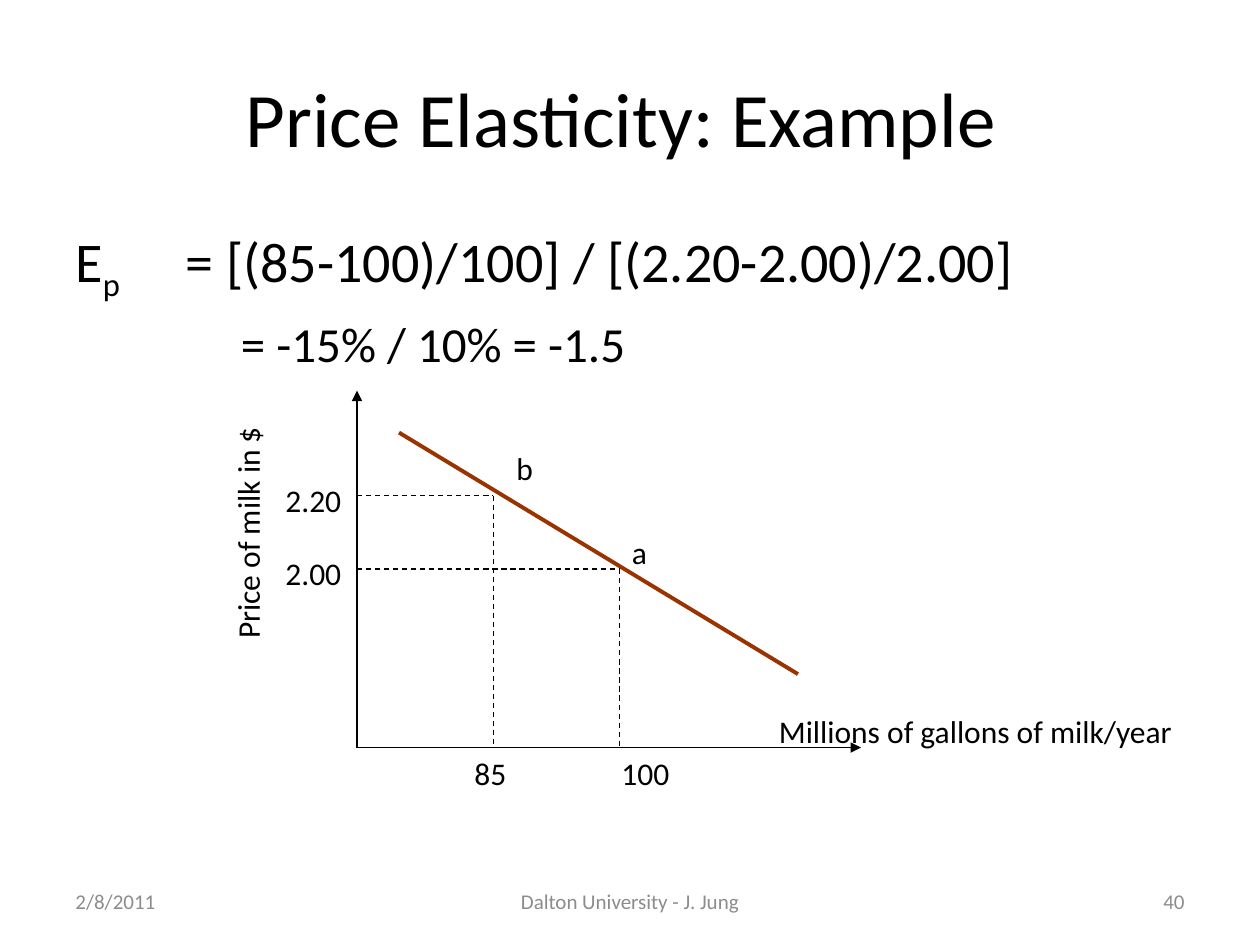
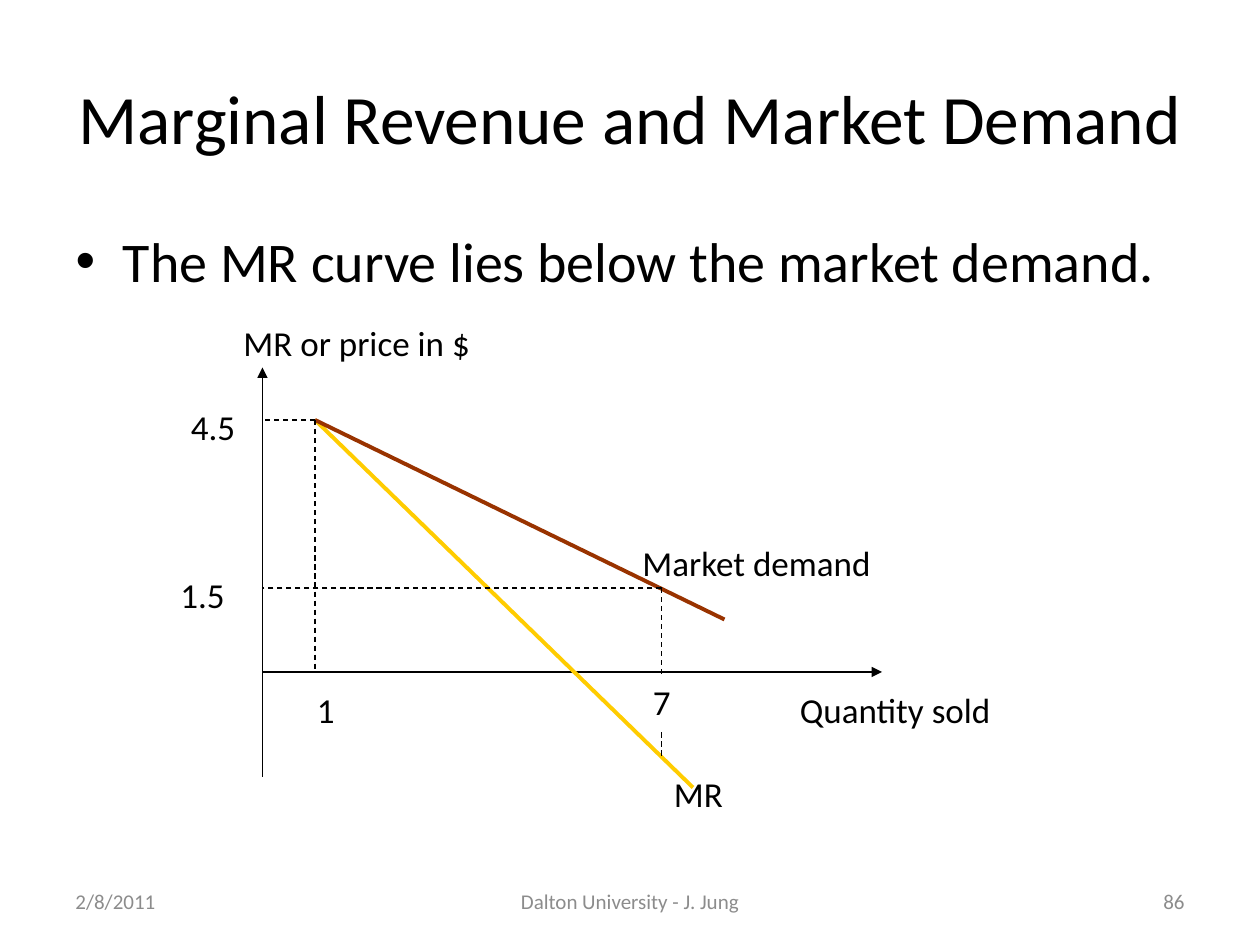
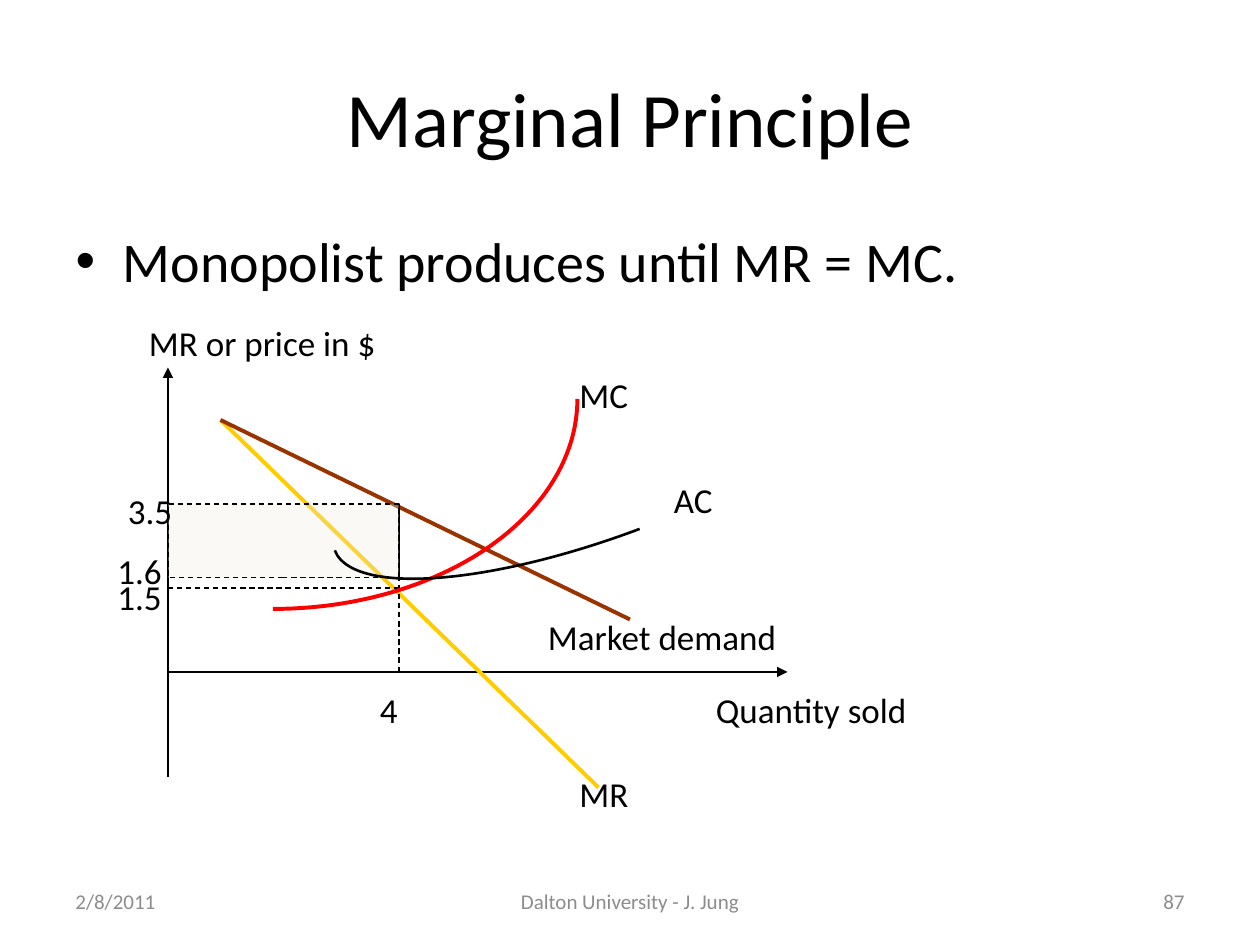
import math
from dataclasses import dataclass
from typing import Any, Optional

import lxml.etree
import pptx
import pptx.dml.color
import pptx.enum.dml
import pptx.enum.shapes
import pptx.enum.text
import pptx.oxml.ns
import pptx.shapes.autoshape
import pptx.slide
import pptx.util

COLUMNS, ROWS = 120, 90
WIDTH, HEIGHT = pptx.util.Inches(10), pptx.util.Inches(7.5)
FONT = "Calibri"
BLACK, WHITE, GREY = "000000", "FFFFFF", "8C8C8C"
BROWN, GOLD, RED, CREAM = "993300", "FFCC00", "FF0000", "EEECE1"
THIN, MEDIUM, THICK = 0.75, 1.5, 2.25
DATE, FOOTER = "2/8/2011", "Dalton University - J. Jung"

ALIGN = pptx.enum.text.PP_ALIGN
ANCHOR = pptx.enum.text.MSO_ANCHOR
FIT = pptx.enum.text.MSO_AUTO_SIZE
PRESET = pptx.enum.shapes.MSO_SHAPE

Point = tuple[float, float]


@dataclass(frozen=True)
class Stroke:
    start: Point
    end: Point
    color: str = BLACK
    weight: float = THIN
    dashed: bool = False
    arrow: bool = False


@dataclass(frozen=True)
class Label:
    text: str
    column: float
    row: float
    width: float
    rotation: float = 0
    fill: Optional[str] = None


@dataclass(frozen=True)
class Span:
    text: str
    size: float = 32
    baseline: int = 0


@dataclass(frozen=True)
class Graph:
    page: pptx.slide.Slide
    origin: Point
    size: float

    def place(self, point: Point) -> tuple[int, int]:
        return across(self.origin[0] + point[0]), down(self.origin[1] + point[1])


def across(columns: float) -> int:
    return round(WIDTH * columns / COLUMNS)


def down(rows: float) -> int:
    return round(HEIGHT * rows / ROWS)


def rgb(color: str) -> pptx.dml.color.RGBColor:
    return pptx.dml.color.RGBColor.from_string(color)


def apply(target: Any, values: dict[str, Any]) -> None:
    for name, value in values.items():
        setattr(target, name, value)


def add_tag(parent: Any, tag: str, **values: str) -> Any:
    return lxml.etree.SubElement(parent, pptx.oxml.ns.qn(tag), values)


def write(para: Any, text: str, size: float, color: str = BLACK) -> Any:
    span = para.add_run()
    span.text = text
    apply(span.font, {"name": FONT, "size": pptx.util.Pt(size)})
    span.font.color.rgb = rgb(color)
    return span


def set_line(shape: Any, color: str, weight: float, dashed: bool = False) -> None:
    shape.line.color.rgb = rgb(color)
    shape.line.width = pptx.util.Pt(weight)
    if dashed:
        shape.line.dash_style = pptx.enum.dml.MSO_LINE.DASH


def add_stroke(graph: Graph, stroke: Stroke) -> None:
    connector = graph.page.shapes.add_connector(
        pptx.enum.shapes.MSO_CONNECTOR.STRAIGHT,
        *graph.place(stroke.start), *graph.place(stroke.end))
    set_line(connector, stroke.color, stroke.weight, stroke.dashed)
    if stroke.arrow:
        add_tag(connector.line._get_or_add_ln(), "a:tailEnd", type="triangle")
    add_tag(connector._element.spPr, "a:effectLst")


def add_label(graph: Graph, label: Label) -> None:
    area = (*graph.place((label.column, label.row)), across(label.width),
            pptx.util.Pt(graph.size * 1.22 + 7.2))
    if label.fill:
        box = graph.page.shapes.add_shape(PRESET.RECTANGLE, *area)
        box.shadow.inherit = False
        box.fill.solid()
        box.fill.fore_color.rgb = rgb(label.fill)
        box.line.fill.background()
    else:
        box = graph.page.shapes.add_textbox(*area)
    box.rotation = label.rotation
    apply(box.text_frame, {"word_wrap": True, "auto_size": FIT.SHAPE_TO_FIT_TEXT,
                           "vertical_anchor": ANCHOR.TOP})
    para = box.text_frame.paragraphs[0]
    para.alignment = ALIGN.LEFT
    write(para, label.text, graph.size)


def draw(graph: Graph, parts: list[Stroke | Label]) -> None:
    for part in parts:
        if isinstance(part, Stroke):
            add_stroke(graph, part)
        else:
            add_label(graph, part)


def dash(start: Point, end: Point) -> Stroke:
    return Stroke(start, end, dashed=True)


def axes(bottom: float, top: float, right: float) -> list[Stroke]:
    return [Stroke((0, bottom), (0, top), arrow=True),
            Stroke((0, 0), (right, 0), arrow=True)]


def draw_market(graph: Graph) -> None:
    draw(graph, [
        *axes(10, -29, 59),
        Stroke((5, -24), (41, 11), GOLD, THICK),
        Stroke((5, -24), (44, -5), BROWN, THICK),
        Label("MR or price in $", -3, -34, 39),
        Label("MR", 38, 9, 22),
    ])


def add_quarter_curve(graph: Graph, center: Point, radii: Point) -> None:
    steps = 48
    angles = [math.pi / 2 * (1 - step / steps) for step in range(steps + 1)]
    points = [graph.place((center[0] + radii[0] * math.cos(angle),
                           center[1] + radii[1] * math.sin(angle))) for angle in angles]
    builder = graph.page.shapes.build_freeform(*points[0])
    builder.add_line_segments(points[1:], close=False)
    curve = builder.convert_to_shape()
    curve.shadow.inherit = False
    curve.fill.background()
    set_line(curve, RED, THICK)


def add_preset(graph: Graph, preset: Any, corner: Point, width: float,
               height: float) -> pptx.shapes.autoshape.Shape:
    shape = graph.page.shapes.add_shape(
        preset, *graph.place(corner), across(width), down(height))
    shape.shadow.inherit = False
    return shape


def add_profit_area(graph: Graph) -> None:
    area = add_preset(graph, PRESET.RECTANGLE, (0, -16), 22, 7)
    area.fill.solid()
    area.fill.fore_color.rgb = rgb(CREAM)
    tint = area._element.spPr.find(".//" + pptx.oxml.ns.qn("a:srgbClr"))
    add_tag(tint, "a:alpha", val="28000")
    set_line(area, BLACK, THIN, dashed=True)


def add_cost_arc(graph: Graph) -> None:
    arc = add_preset(graph, PRESET.ARC, (14.1, -29.7), 55.8, 16.6)
    arc.rotation = 159.4
    arc.fill.background()
    set_line(arc, BLACK, MEDIUM)


def add_footer(page: pptx.slide.Slide, number: int) -> None:
    cells = [(DATE, 6, 28, ALIGN.LEFT), (FOOTER, 41, 38, ALIGN.CENTER),
             (str(number), 86, 28, ALIGN.RIGHT)]
    for text, column, width, alignment in cells:
        box = page.shapes.add_textbox(across(column), down(83.4), across(width), down(4.8))
        apply(box.text_frame, {"word_wrap": True, "vertical_anchor": ANCHOR.MIDDLE})
        para = box.text_frame.paragraphs[0]
        para.alignment = alignment
        write(para, text, 12, GREY)


def add_page(deck: Any, title: str, title_size: float, body_rows: float,
             lines: list[list[Span]], number: int, bullets: bool = True) -> pptx.slide.Slide:
    page = deck.slides.add_slide(deck.slide_layouts[1])
    heading, body = page.shapes.title, page.placeholders[1]
    for box, row, rows in ((heading, 3.6, 15), (body, 21, body_rows)):
        apply(box, {"left": across(6), "top": down(row),
                    "width": across(108), "height": down(rows)})
        apply(box.text_frame, {"word_wrap": True, "auto_size": FIT.NONE})
    heading.text_frame.vertical_anchor = ANCHOR.MIDDLE
    para = heading.text_frame.paragraphs[0]
    para.alignment = ALIGN.CENTER
    write(para, title, title_size)
    for level, spans in enumerate(lines):
        para = body.text_frame.add_paragraph() if level else body.text_frame.paragraphs[0]
        para.level = level
        if not bullets:
            add_tag(para._p.get_or_add_pPr(), "a:buNone")
        for part in spans:
            span = write(para, part.text, part.size)
            if part.baseline:
                span._r.get_or_add_rPr().set("baseline", str(part.baseline * 1000))
    add_footer(page, number)
    return page


def add_elasticity(deck: Any) -> None:
    lines = [[Span("E"), Span("p\t\t", baseline=-25),
              Span("= [(85-100)/100] / [(2.20-2.00)/2.00]")],
             [Span("\t\t= -15% / 10% = -1.5", 28)]]
    page = add_page(deck, "Price Elasticity: Example ", 44, 59.4, lines, 40, bullets=False)
    draw(Graph(page, (34, 71.2), 18), [
        *axes(0, -34, 48),
        Stroke((4, -30), (42, -7), BROWN, THICK),
        dash((0, -24), (13, -24)), dash((13, -24), (13, 0)),
        dash((0, -17), (25, -17)), dash((25, -17), (25, 0)),
        Label("2.20", -8, -26, 10), Label("2.00", -8, -19, 10),
        Label("85", 10, 0, 8), Label("100", 24, 0, 8),
        Label("Millions of gallons of milk/year", 39, -4, 48),
        Label("a", 25, -21, 8), Label("b", 14, -29, 5),
        Label("Price of milk in $", -21.9, -23.1, 23, rotation=270),
    ])


def add_marginal_revenue(deck: Any) -> None:
    lines = [[Span("The MR curve lies below the market demand.")]]
    page = add_page(deck, "Marginal Revenue and Market Demand", 39.6, 9, lines, 86)
    graph = Graph(page, (25, 64), 20)
    draw_market(graph)
    draw(graph, [
        dash((38, -8), (38, 8)), dash((5, -24), (5, 0)),
        dash((38, -8), (0, -8)), dash((5, -24), (0, -24)),
        Label("4.5", -8, -26, 7), Label("1.5", -9, -10, 9),
        Label("1", 4, 1, 9), Label("7", 36, 0.2, 5, fill=WHITE),
        Label("Market demand", 35, -13, 26), Label("Quantity sold", 50, 1, 44),
    ])


def add_marginal_principle(deck: Any) -> None:
    lines = [[Span("Monopolist produces until MR = MC.")]]
    page = add_page(deck, "Marginal Principle", 44, 8, lines, 87)
    graph = Graph(page, (16, 64), 20)
    draw_market(graph)
    draw(graph, [dash((22, -16), (22, 0)), dash((22, -8), (0, -8))])
    add_quarter_curve(graph, (10, -26), (29, 20))
    add_profit_area(graph)
    draw(graph, [
        Label("1.5", -6, -9.8, 7), Label("1.6", -6, -12.3, 10),
        Label("3.5", -5, -18, 7), Label("4", 19, 1, 9),
        Label("Market demand", 35, -6, 26), Label("Quantity sold", 51, 1, 40),
        Label("MC", 38, -29, 10), Label("AC", 47, -19, 9),
    ])
    add_cost_arc(graph)


deck = pptx.Presentation()
apply(deck, {"slide_width": WIDTH, "slide_height": HEIGHT})
add_elasticity(deck)
add_marginal_revenue(deck)
add_marginal_principle(deck)
deck.save("out.pptx")
